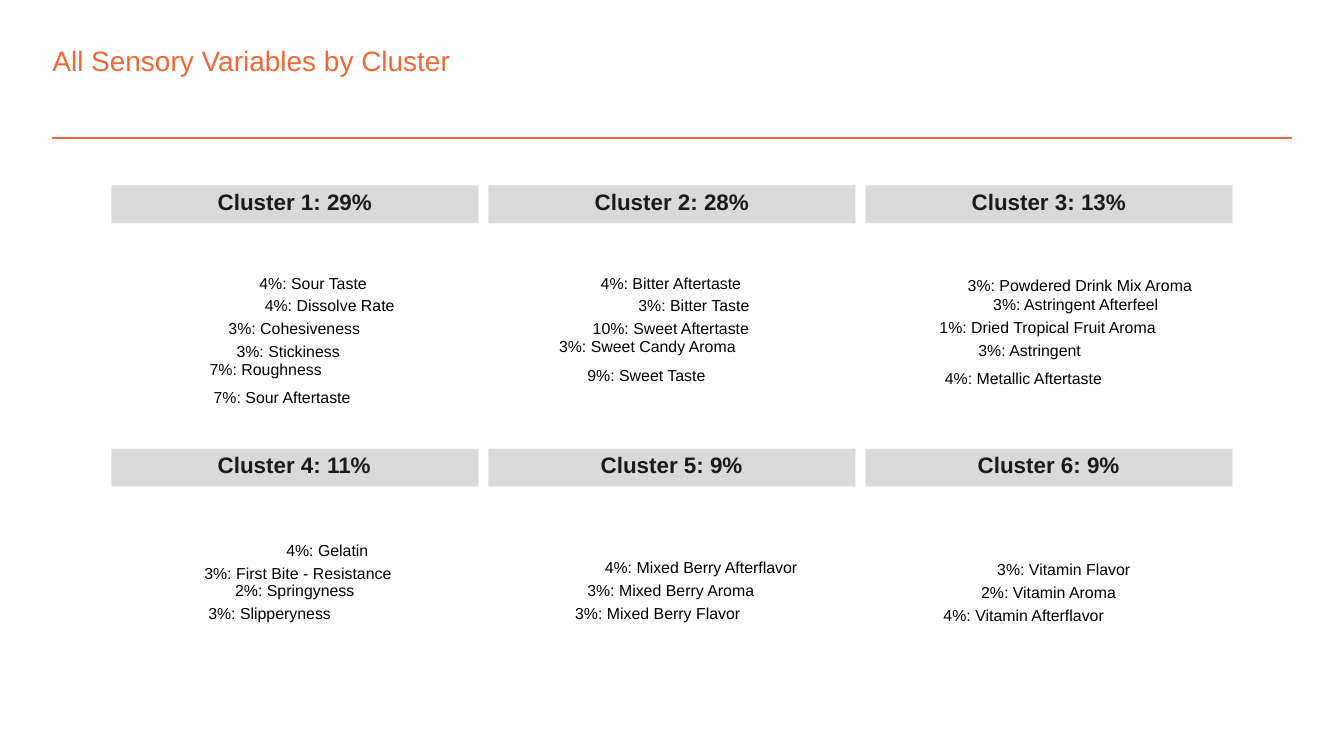
"""Build the slide that lists the sensory variables of each cluster."""
from dataclasses import dataclass

import pptx
import pptx.dml.color
import pptx.enum.shapes
import pptx.enum.text
import pptx.oxml.ns
import pptx.slide
import pptx.util
from lxml import etree

Inches = pptx.util.Inches
Pt = pptx.util.Pt
RGBColor = pptx.dml.color.RGBColor

ORANGE = RGBColor(0xF3, 0x66, 0x33)
WHITE = RGBColor(0xFF, 0xFF, 0xFF)
GREY = RGBColor(0xD9, 0xD9, 0xD9)
CHARCOAL = RGBColor(0x1A, 0x1A, 0x1A)
BLACK = RGBColor(0, 0, 0)

FONT = "Arial"
COLUMNS = 3
BAR_LEFT, LAST_BAR_LEFT, BAR_TOP = 0.83, 6.44, 1.38
BAR_WIDTH, BAR_HEIGHT = 2.73, 0.28
COLUMN_STEP = (LAST_BAR_LEFT - BAR_LEFT) / (COLUMNS - 1)
ROW_STEP = 1.96
LABEL_OFFSET, LABEL_HEIGHT = 0.07, 0.13
WIDTH_ALLOWANCE = 0.01


@dataclass(frozen=True)
class Variable:
    text: str
    left: float
    top: float
    width: float


@dataclass(frozen=True)
class Cluster:
    label: str
    label_width: float
    variables: tuple[Variable, ...]


CLUSTERS = (
    Cluster("Cluster 1: 29%", 1.15, (
        Variable("4%: Sour Taste", 1.93, 2.07, 0.82),
        Variable("4%: Dissolve Rate", 1.97, 2.24, 0.97),
        Variable("3%: Cohesiveness", 1.70, 2.41, 0.98),
        Variable("3%: Stickiness", 1.76, 2.58, 0.77),
        Variable("7%: Roughness", 1.56, 2.70, 0.84),
        Variable("7%: Sour Aftertaste", 1.59, 2.92, 1.03),
    )),
    Cluster("Cluster 2: 28%", 1.15, (
        Variable("4%: Bitter Aftertaste", 4.47, 2.07, 1.05),
        Variable("3%: Bitter Taste", 4.75, 2.24, 0.84),
        Variable("10%: Sweet Aftertaste", 4.41, 2.41, 1.17),
        Variable("3%: Sweet Candy Aroma", 4.16, 2.53, 1.32),
        Variable("9%: Sweet Taste", 4.37, 2.76, 0.90),
    )),
    Cluster("Cluster 3: 13%", 1.15, (
        Variable("3%: Powdered Drink Mix Aroma", 7.20, 2.09, 1.68),
        Variable("3%: Astringent Afterfeel", 7.39, 2.22, 1.25),
        Variable("1%: Dried Tropical Fruit Aroma", 6.99, 2.39, 1.63),
        Variable("3%: Astringent", 7.28, 2.56, 0.77),
        Variable("4%: Metallic Aftertaste", 7.03, 2.78, 1.18),
    )),
    Cluster("Cluster 4: 11%", 1.15, (
        Variable("4%: Gelatin", 2.13, 4.06, 0.61),
        Variable("3%: First Bite - Resistance", 1.52, 4.23, 1.40),
        Variable("2%: Springyness", 1.75, 4.35, 0.89),
        Variable("3%: Slipperyness", 1.55, 4.52, 0.92),
    )),
    Cluster("Cluster 5: 9%", 1.06, (
        Variable("4%: Mixed Berry Afterflavor", 4.50, 4.18, 1.44),
        Variable("3%: Mixed Berry Aroma", 4.37, 4.35, 1.25),
        Variable("3%: Mixed Berry Flavor", 4.28, 4.52, 1.23),
    )),
    Cluster("Cluster 6: 9%", 1.06, (
        Variable("3%: Vitamin Flavor", 7.42, 4.20, 0.99),
        Variable("2%: Vitamin Aroma", 7.30, 4.37, 1.01),
        Variable("4%: Vitamin Afterflavor", 7.02, 4.54, 1.21),
    )),
)


def add_text(page: pptx.slide.Slide, text: str, left: float, top: float,
             width: float, height: float, size: float, color: RGBColor,
             bold: bool = False, title: bool = False) -> None:
    box = page.shapes.add_textbox(Inches(left), Inches(top), Inches(width), Inches(height))
    frame = box.text_frame
    frame.margin_left = frame.margin_right = frame.margin_top = frame.margin_bottom = 0
    frame.word_wrap = title
    anchors = pptx.enum.text.MSO_ANCHOR
    frame.vertical_anchor = anchors.TOP if title else anchors.MIDDLE
    frame.text = text
    para = frame.paragraphs[0]
    if not title:
        para.line_spacing = Pt(size)
    span = para.runs[0]
    span.font.name = FONT
    span.font.size = Pt(size)
    span.font.bold = bold
    span.font.color.rgb = color


def add_block(page: pptx.slide.Slide, left: float, top: float, width: float,
              height: float, fill: RGBColor) -> pptx.shapes.autoshape.Shape:
    block = page.shapes.add_shape(
        pptx.enum.shapes.MSO_SHAPE.RECTANGLE,
        Inches(left), Inches(top), Inches(width), Inches(height))
    block.shadow.inherit = False
    block.fill.solid()
    block.fill.fore_color.rgb = fill
    block.line.fill.background()
    return block


def add_rule(page: pptx.slide.Slide, left: float, right: float, top: float) -> None:
    rule = page.shapes.add_connector(
        pptx.enum.shapes.MSO_CONNECTOR.STRAIGHT,
        Inches(left), Inches(top), Inches(right), Inches(top))
    rule.line.color.rgb = ORANGE
    rule.line.width = Pt(1)
    etree.SubElement(rule.element.spPr, pptx.oxml.ns.qn("a:effectLst"))


def add_cluster(page: pptx.slide.Slide, cluster: Cluster, index: int) -> None:
    row, column = divmod(index, COLUMNS)
    left = BAR_LEFT + column * COLUMN_STEP
    top = BAR_TOP + row * ROW_STEP
    add_block(page, left, top, BAR_WIDTH, BAR_HEIGHT, GREY)
    add_text(page, cluster.label, left + (BAR_WIDTH - cluster.label_width) / 2,
             top + LABEL_OFFSET, cluster.label_width, LABEL_HEIGHT, 12, CHARCOAL, bold=True)
    for variable in cluster.variables:
        height = 0.11 if set(variable.text) & set("gpy") else 0.09
        add_text(page, variable.text, variable.left, variable.top,
                 variable.width + WIDTH_ALLOWANCE, height, 8.5, BLACK)


def main() -> None:
    deck = pptx.Presentation()
    deck.slide_width = Inches(10)
    deck.slide_height = Inches(10 * 9 / 16)
    page = deck.slides.add_slide(deck.slide_layouts[6])
    add_rule(page, 0.39, 9.61, 1.03)
    add_text(page, "All Sensory Variables by Cluster", 0.39, 0.32, 8.29, 0.25,
             15, ORANGE, title=True)
    panel = add_block(page, 0.75, 1.3, 8.5, 4, WHITE)
    panel.line.color.rgb = WHITE
    panel.line.width = Pt(0.75)
    for index, cluster in enumerate(CLUSTERS):
        add_cluster(page, cluster, index)
    deck.save("out.pptx")


if __name__ == "__main__":
    main()
